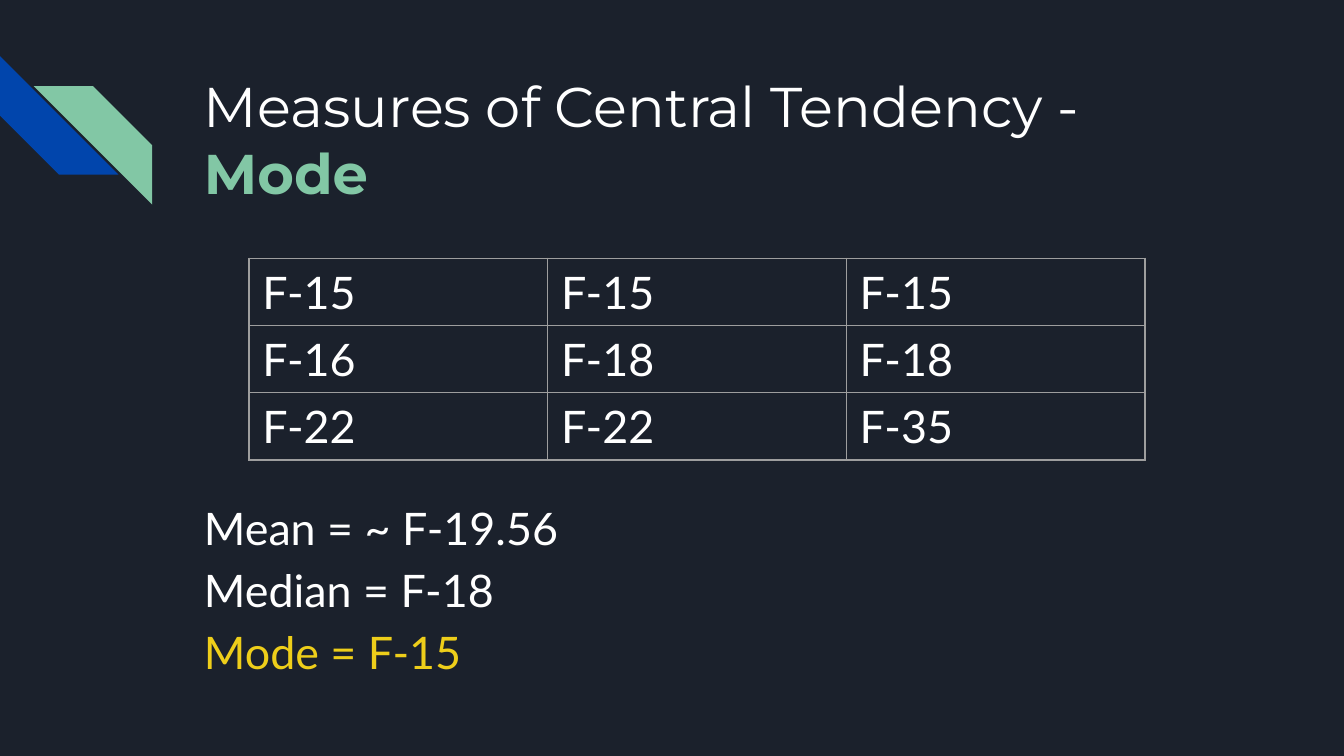
from dataclasses import dataclass

from lxml import etree
from pptx import Presentation
from pptx.dml.color import RGBColor
from pptx.enum.shapes import MSO_SHAPE
from pptx.enum.text import MSO_ANCHOR
from pptx.oxml.ns import qn
from pptx.util import Pt

STRIPE = MSO_SHAPE.DIAGONAL_STRIPE
TOP = MSO_ANCHOR.TOP

COLOURS = {
    "background": "1B212C",
    "blue": "0145AC",
    "green": "82C7A5",
    "white": "FFFFFF",
    "yellow": "EECE1A",
    "border": "9E9E9E",
}
STRIPE_SIZE = 63.5
AIRCRAFT = [
    ["F-15", "F-15", "F-15"],
    ["F-16", "F-18", "F-18"],
    ["F-22", "F-22", "F-35"],
]
COLUMN_WIDTH, ROW_HEIGHT = 160, 36
BORDER_WIDTH = 0.75


@dataclass
class Stripe:
    left: float
    top: float
    colour: str
    rotation: float = 0
    flipped: bool = False


@dataclass
class Span:
    text: str
    font: str
    size: float
    colour: str = "white"
    bold: bool = False
    break_before: bool = False


@dataclass
class TextBlock:
    left: float
    top: float
    width: float
    height: float
    spans: list[Span]
    paragraph_format: dict


STRIPES = [
    Stripe(0, 30.1, "blue", rotation=270),
    Stripe(18.1, 46.2, "green", flipped=True),
]
BLOCKS = [
    TextBlock(102.2, 31, 554.4, 72, [
        Span("Measures of Central Tendency - ", "Montserrat", 30),
        Span("Mode", "Montserrat", 30, "green", bold=True),
    ], {}),
    TextBlock(102.2, 257, 554.4, 96, [
        Span("Mean = ~ F-19.56", "Lato", 24),
        Span("Median = F-18", "Lato", 24, break_before=True),
        Span("Mode = F-15", "Lato", 24, "yellow", break_before=True),
    ], {"line_spacing": 1.15, "space_after": Pt(16)}),
]


def colour_of(name: str) -> RGBColor:
    return RGBColor.from_string(COLOURS[name])


def add_span(para, span: Span) -> None:
    if span.break_before:
        para.add_line_break()
    run = para.add_run()
    run.text = span.text
    font_format = {"name": span.font, "size": Pt(span.size), "bold": span.bold}
    for name, value in font_format.items():
        setattr(run.font, name, value)
    run.font.color.rgb = colour_of(span.colour)


def add_stripe(page, stripe: Stripe) -> None:
    shape = page.shapes.add_shape(STRIPE, Pt(stripe.left), Pt(stripe.top),
                                  Pt(STRIPE_SIZE), Pt(STRIPE_SIZE))
    shape.adjustments[0] = 0.5
    shape.rotation = stripe.rotation
    shape.shadow.inherit = False
    shape.fill.solid()
    shape.fill.fore_color.rgb = colour_of(stripe.colour)
    shape.line.fill.background()
    if stripe.flipped:
        shape.element.spPr.find(qn("a:xfrm")).set("flipH", "1")


def add_text_block(page, block: TextBlock) -> None:
    box = page.shapes.add_textbox(Pt(block.left), Pt(block.top),
                                  Pt(block.width), Pt(block.height))
    frame_format = {"word_wrap": True, "vertical_anchor": TOP}
    for side in ("left", "right", "top", "bottom"):
        frame_format[f"margin_{side}"] = Pt(7.2)
    for name, value in frame_format.items():
        setattr(box.text_frame, name, value)
    para = box.text_frame.paragraphs[0]
    for name, value in block.paragraph_format.items():
        setattr(para, name, value)
    for span in block.spans:
        add_span(para, span)


def add_cell_borders(cell) -> None:
    properties = cell._tc.get_or_add_tcPr()
    for side in ("lnL", "lnR", "lnT", "lnB"):
        line = etree.SubElement(properties, qn(f"a:{side}"), w=str(Pt(BORDER_WIDTH)))
        fill = etree.SubElement(line, qn("a:solidFill"))
        etree.SubElement(fill, qn("a:srgbClr"), val=COLOURS["border"])


def add_aircraft_table(page, left: float, top: float) -> None:
    rows, columns = len(AIRCRAFT), len(AIRCRAFT[0])
    table = page.shapes.add_table(rows, columns, Pt(left), Pt(top),
                                  Pt(columns * COLUMN_WIDTH),
                                  Pt(rows * ROW_HEIGHT)).table
    table.first_row = table.horz_banding = False
    for row, names in zip(table.rows, AIRCRAFT):
        row.height = Pt(ROW_HEIGHT)
        for cell, name in zip(row.cells, names):
            add_cell_borders(cell)
            cell.fill.background()
            add_span(cell.text_frame.paragraphs[0], Span(name, "Lato", 24))


def main() -> None:
    deck = Presentation()
    deck.slide_width, deck.slide_height = Pt(720), Pt(405)
    page = deck.slides.add_slide(deck.slide_layouts[6])
    page.background.fill.solid()
    page.background.fill.fore_color.rgb = colour_of("background")
    for stripe in STRIPES:
        add_stripe(page, stripe)
    title, summary = BLOCKS
    add_text_block(page, title)
    add_aircraft_table(page, 133.4, 138.4)
    add_text_block(page, summary)
    deck.save("out.pptx")


if __name__ == "__main__":
    main()
